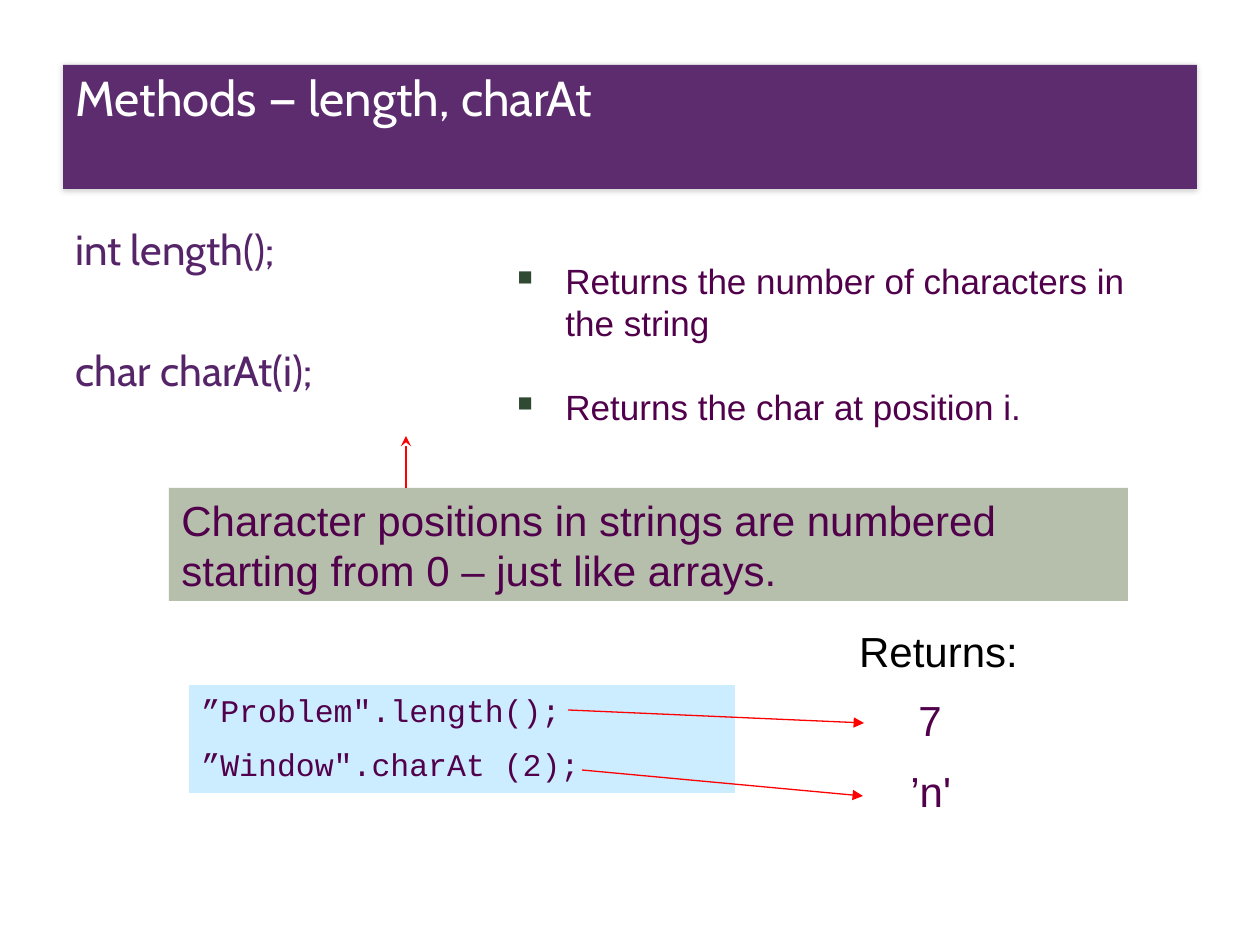
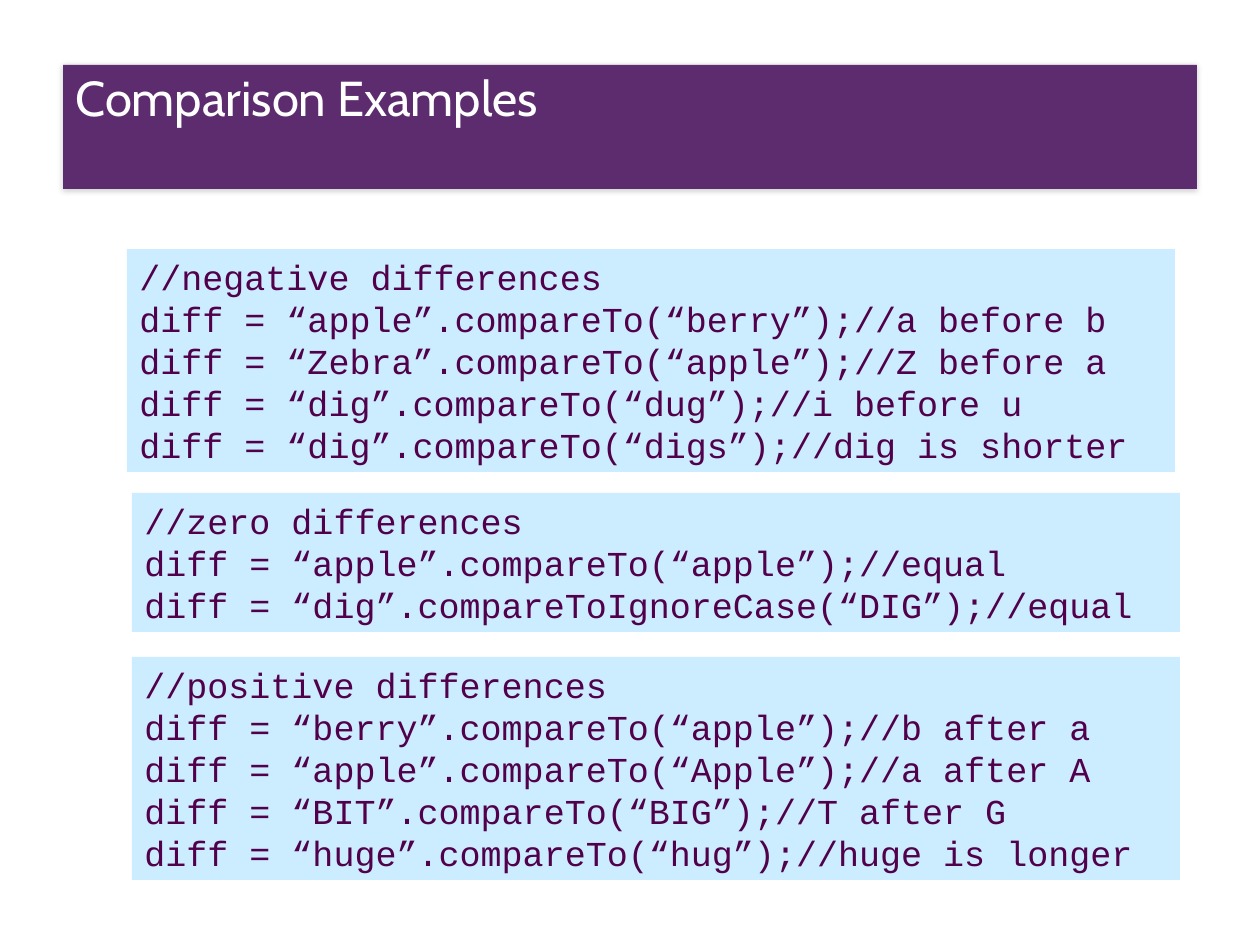
from lxml import etree
from pptx import Presentation
from pptx.dml.color import RGBColor
from pptx.enum.shapes import MSO_CONNECTOR, MSO_SHAPE
from pptx.enum.text import MSO_ANCHOR, MSO_AUTO_SIZE, PP_ALIGN
from pptx.oxml.ns import qn
from pptx.util import Pt

RECTANGLE = MSO_SHAPE.RECTANGLE
STRAIGHT = MSO_CONNECTOR.STRAIGHT
TOP = MSO_ANCHOR.TOP
NO_AUTOFIT = MSO_AUTO_SIZE.NONE
LEFT, CENTER = PP_ALIGN.LEFT, PP_ALIGN.CENTER

PX_PER_INCH = 126
TITLE_ONLY = 5
TITLE_BAND = (63, 65, 1134, 124)
PURPLE, PLUM, WHITE, BLACK = "562469", "51004B", "FFFFFF", "000000"
CODE_BLUE, SAGE, BULLET_GREEN, RED = "CCECFF", "B6BFAC", "2F4932", "FF0000"
HEADING_FONT, TEXT_FONT, CODE_FONT = "Cabin", "Arial", "Courier New"


def px(length):
    return round(length * 914400 / PX_PER_INCH)


def color(hex_string):
    return RGBColor.from_string(hex_string)


def add_xml(parent, tag, **attributes):
    return etree.SubElement(parent, qn(tag), attributes)


def style(paragraph, font_name, size, hex_color, align=LEFT):
    paragraph.alignment = align
    paragraph.font.name = font_name
    paragraph.font.size = Pt(size)
    paragraph.font.color.rgb = color(hex_color)


def add_bullet(paragraph, indent):
    properties = paragraph._p.get_or_add_pPr()
    properties.set("marL", str(px(indent)))
    properties.set("indent", str(-px(indent)))
    add_xml(add_xml(properties, "a:buClr"), "a:srgbClr", val=BULLET_GREEN)
    add_xml(properties, "a:buSzPct", val="60000")
    add_xml(properties, "a:buChar", char="■")


def add_text(slide, box, lines, font_name, size, hex_color=PLUM, fill=None,
             gap=0, align=LEFT, bullet_indent=0):
    """Write one paragraph per line, `gap` points apart, on an optional panel."""
    bounds = [px(length) for length in box]
    if fill:
        panel = slide.shapes.add_shape(RECTANGLE, *bounds)
        panel.shadow.inherit = False
        panel.fill.solid()
        panel.fill.fore_color.rgb = color(fill)
        panel.line.fill.background()
    else:
        panel = slide.shapes.add_textbox(*bounds)
    frame = panel.text_frame
    frame.word_wrap = True
    frame.vertical_anchor = TOP
    frame.text = "\n".join(lines)
    for index, paragraph in enumerate(frame.paragraphs):
        if bullet_indent:
            add_bullet(paragraph, bullet_indent)
        style(paragraph, font_name, size, hex_color, align)
        if index:
            paragraph.space_before = Pt(gap)
    return frame


def add_arrow(slide, start, end, head="triangle"):
    arrow = slide.shapes.add_connector(STRAIGHT, *map(px, start + end))
    arrow.line.color.rgb = color(RED)
    arrow.line.width = Pt(0.75)
    add_xml(arrow.line._get_or_add_ln(), "a:tailEnd", type=head)
    add_xml(arrow._element.spPr, "a:effectLst")


def add_titled_slide(prs, heading):
    slide = prs.slides.add_slide(prs.slide_layouts[TITLE_ONLY])
    title = slide.shapes.title
    title.left, title.top, title.width, title.height = map(px, TITLE_BAND)
    title.fill.solid()
    title.fill.fore_color.rgb = color(PURPLE)
    fill_color = title._element.spPr.find(qn("a:solidFill"))[0]
    add_xml(fill_color, "a:alpha", val="95000")
    effects = add_xml(title._element.spPr, "a:effectLst")
    shadow = add_xml(effects, "a:outerShdw", blurRad=str(px(6)), dist=str(px(1)),
                     dir="5400000", algn="ctr", rotWithShape="0")
    add_xml(add_xml(shadow, "a:srgbClr", val=BLACK), "a:alpha", val="20000")
    frame = title.text_frame
    frame.auto_size = NO_AUTOFIT
    frame.vertical_anchor = TOP
    frame.margin_top = 0
    frame.text = heading
    style(frame.paragraphs[0], HEADING_FONT, 28, WHITE)
    frame.paragraphs[0].line_spacing = 1.05
    return slide


def add_signatures(slide, left, top):
    add_text(slide, (left, top, 430, 200), ["int length();", "char charAt(i);"],
             HEADING_FONT, 24, PURPLE, gap=40.5)
    add_text(slide, (left + 442, top + 36, 649, 193),
             ["Returns the number of characters in the string",
              "Returns the char at position i."],
             TEXT_FONT, 20, gap=24, bullet_indent=48)


def add_position_note(slide, left, top):
    add_text(slide, (left, top, 959, 113),
             ["Character positions in strings are numbered starting from 0 "
              "– just like arrays."], TEXT_FONT, 24, fill=SAGE)
    add_arrow(slide, (left + 237, top), (left + 237, top - 52), "stealth")


def add_call_results(slide, left, top):
    """Place the sample calls, with arrows to the values they return."""
    add_text(slide, (left, top, 546, 108),
             ['”Problem".length();', '”Window".charAt (2);'],
             CODE_FONT, 18, fill=CODE_BLUE, gap=9)
    add_text(slide, (left + 650, top - 66, 199, 63), ["Returns:"],
             TEXT_FONT, 24, BLACK, align=CENTER)
    results = add_text(slide, (left + 709, top + 3, 154, 139), ["7", "’n'"],
                       TEXT_FONT, 24, gap=12)
    results.paragraphs[0]._p.get_or_add_pPr().set("marL", str(px(8)))
    add_arrow(slide, (left + 379, top + 25), (left + 675, top + 38))
    add_arrow(slide, (left + 393, top + 85), (left + 674, top + 111))


def add_comparison(slide, left, top, sign, examples):
    lines = [f"//{sign} differences"]
    lines += [f"diff = {call};//{reason}" for call, reason in examples]
    add_text(slide, (left, top, 1048, 13 + 42 * len(lines)), lines,
             CODE_FONT, 20, fill=CODE_BLUE)


COMPARISONS = [
    (127, 249, "negative", [
        ("“apple”.compareTo(“berry”)", "a before b"),
        ("“Zebra”.compareTo(“apple”)", "Z before a"),
        ("“dig”.compareTo(“dug”)", "i before u"),
        ("“dig”.compareTo(“digs”)", "dig is shorter")]),
    (132, 493, "zero", [
        ("“apple”.compareTo(“apple”)", "equal"),
        ("“dig”.compareToIgnoreCase(“DIG”)", "equal")]),
    (132, 657, "positive", [
        ("“berry”.compareTo(“apple”)", "b after a"),
        ("“apple”.compareTo(“Apple”)", "a after A"),
        ("“BIT”.compareTo(“BIG”)", "T after G"),
        ("“huge”.compareTo(“hug”)", "huge is longer")]),
]


def main():
    prs = Presentation()
    prs.slide_width, prs.slide_height = px(1260), px(945)

    methods = add_titled_slide(prs, "Methods — length, charAt")
    add_signatures(methods, 63, 217)
    add_call_results(methods, 189, 685)
    add_position_note(methods, 169, 488)

    comparisons = add_titled_slide(prs, "Comparison Examples")
    for comparison in COMPARISONS:
        add_comparison(comparisons, *comparison)

    prs.save("out.pptx")


if __name__ == "__main__":
    main()
